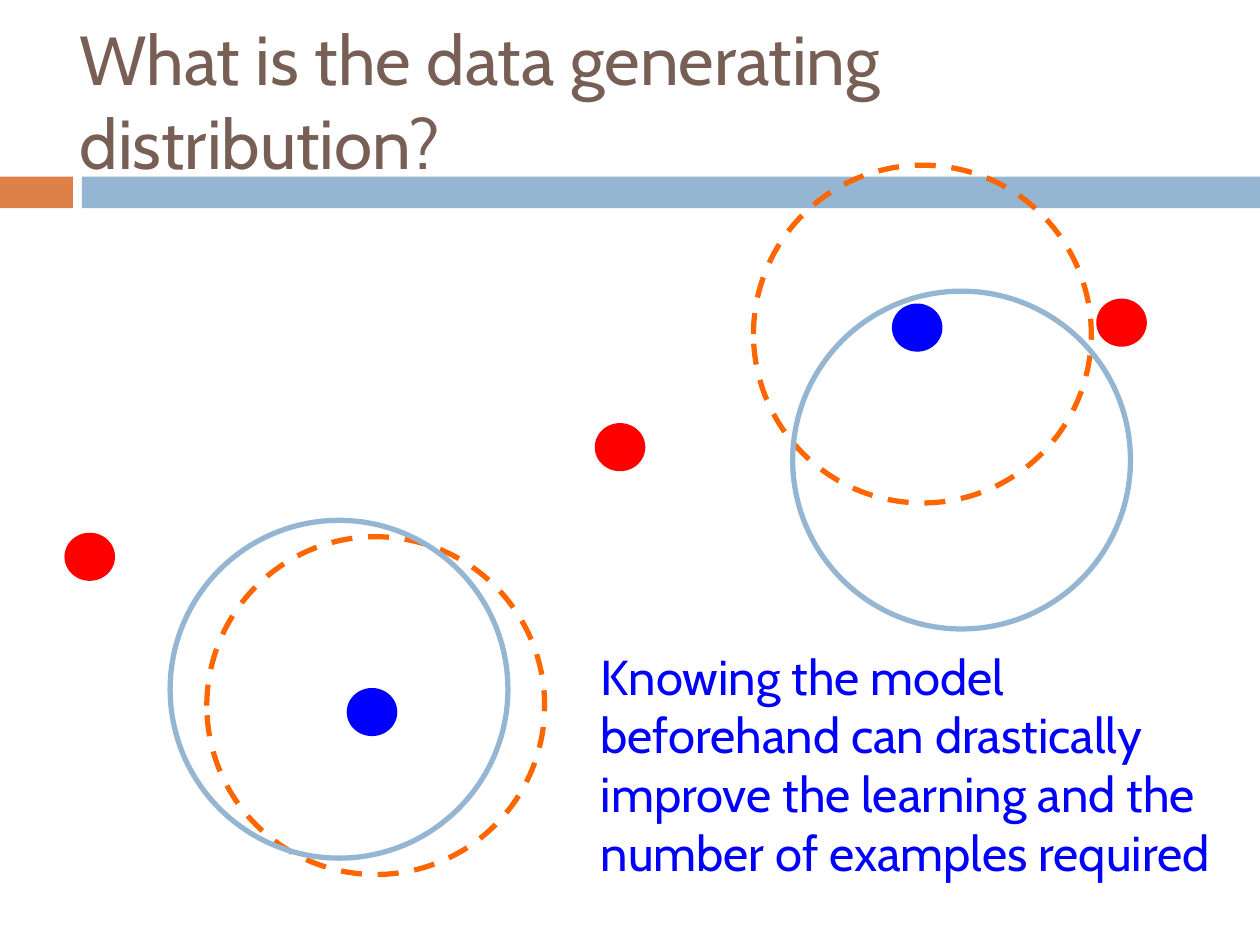
from dataclasses import dataclass
from typing import Optional

from pptx import Presentation
from pptx.dml.color import RGBColor
from pptx.enum.dml import MSO_LINE_DASH_STYLE as Dash
from pptx.enum.shapes import MSO_SHAPE as Preset
from pptx.enum.text import MSO_ANCHOR as Anchor, MSO_AUTO_SIZE as AutoSize, PP_ALIGN as Align
from pptx.util import Cm, Pt

FONT = "Cabin"
BLUE, RED, ORANGE, STEEL = "0000FF", "FF0000", "FF6600", "94B6D2"
RUST, BROWN = "DD8047", "775F55"
DOT_WIDTH, DOT_HEIGHT = 1.02, 0.97
RING_SIZE = 6.81
BAND_TOP, BAND_HEIGHT = 3.56, 0.64


@dataclass
class Figure:
    """A preset shape, measured in centimetres."""
    left: float
    top: float
    width: float
    height: float
    preset: Preset = Preset.OVAL
    fill: Optional[str] = None
    line: Optional[str] = None
    dashed: bool = False


def color(value: str) -> RGBColor:
    return RGBColor.from_string(value)


def band(left: float, width: float, fill: str) -> Figure:
    return Figure(left, BAND_TOP, width, BAND_HEIGHT, Preset.RECTANGLE, fill)


def dot(left: float, top: float, fill: str) -> Figure:
    return Figure(left, top, DOT_WIDTH, DOT_HEIGHT, fill=fill)


def ring(left: float, top: float, line: str, dashed: bool = False) -> Figure:
    return Figure(left, top, RING_SIZE, RING_SIZE, line=line, dashed=dashed)


def draw_figure(slide, figure: Figure) -> None:
    shape = slide.shapes.add_shape(
        figure.preset, Cm(figure.left), Cm(figure.top), Cm(figure.width), Cm(figure.height))
    shape.shadow.inherit = False
    if figure.fill:
        shape.fill.solid()
        shape.fill.fore_color.rgb = color(figure.fill)
    else:
        shape.fill.background()
    if figure.line:
        shape.line.color.rgb = color(figure.line)
        shape.line.width = Pt(3)
        if figure.dashed:
            shape.line.dash_style = Dash.DASH
    else:
        shape.line.fill.background()


def write_text(shape, text: str, *, size: float, fill: str, anchor: Anchor,
               auto_size: AutoSize = AutoSize.NONE) -> None:
    frame = shape.text_frame
    frame.word_wrap = True
    frame.auto_size = auto_size
    frame.vertical_anchor = anchor
    paragraph = frame.paragraphs[0]
    paragraph.alignment = Align.LEFT
    run = paragraph.add_run()
    run.text = text
    run.font.name = FONT
    run.font.size = Pt(size)
    run.font.color.rgb = color(fill)


FIGURES = [
    band(0, 1.47, RUST),
    band(1.65, 23.75, STEEL),
    dot(6.99, 13.87, BLUE),
    dot(17.98, 6.12, BLUE),
    dot(1.3, 10.74, RED),
    dot(11.99, 8.53, RED),
    dot(22.1, 6.02, RED),
    ring(15.19, 3.33, ORANGE, dashed=True),
    ring(4.17, 10.82, ORANGE, dashed=True),
    ring(3.43, 10.49, STEEL),
    ring(15.98, 5.87, STEEL),
]


def main() -> None:
    presentation = Presentation()
    presentation.slide_width, presentation.slide_height = Cm(25.4), Cm(19.05)
    title_only = presentation.slide_layouts[5]
    slide = presentation.slides.add_slide(title_only)

    title = slide.shapes.title
    title.left, title.top, title.width, title.height = Cm(1.35), Cm(0.64), Cm(23.7), Cm(2.74)
    write_text(title, "What is the data generating distribution?",
               size=39.6, fill=BROWN, anchor=Anchor.MIDDLE)

    for figure in FIGURES:
        draw_figure(slide, figure)

    conclusion = slide.shapes.add_textbox(Cm(11.86), Cm(12.9), Cm(13.18), Cm(5.05))
    write_text(conclusion,
               "Knowing the model beforehand can drastically improve the learning "
               "and the number of examples required",
               size=28, fill=BLUE, anchor=Anchor.TOP, auto_size=AutoSize.SHAPE_TO_FIT_TEXT)

    presentation.save("out.pptx")


if __name__ == "__main__":
    main()
